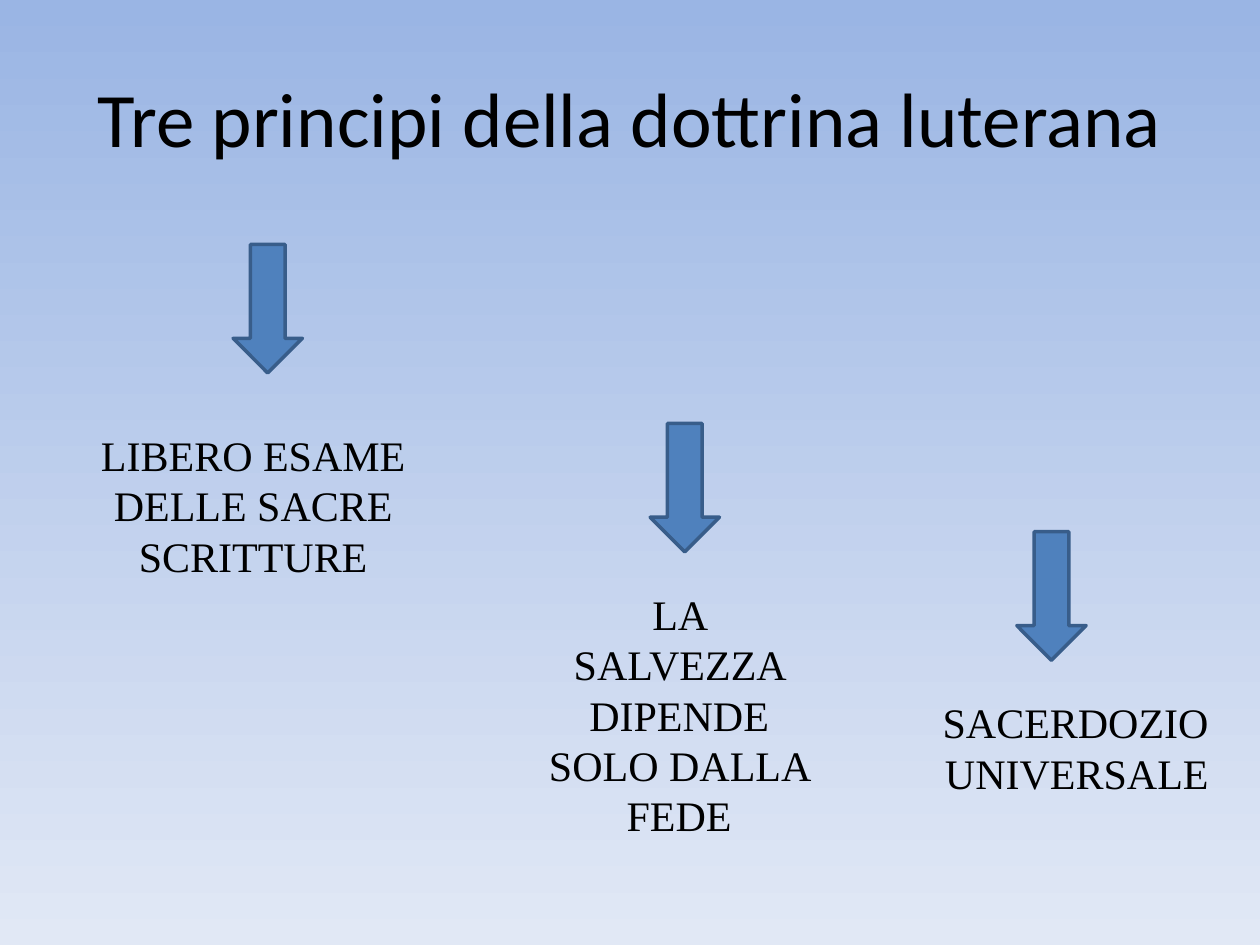
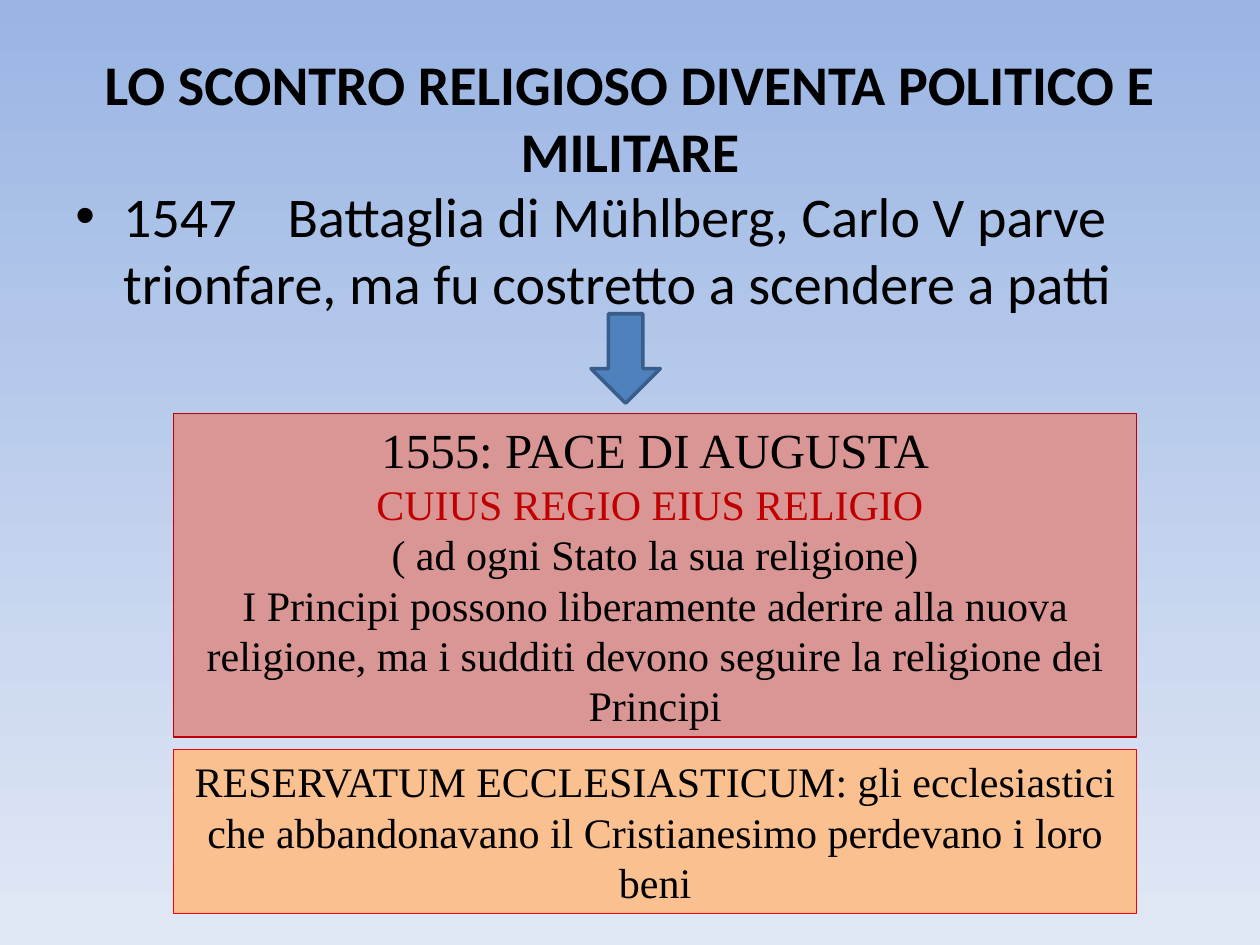
import pptx
import pptx.util
import pptx.dml.color
import pptx.enum.shapes
import pptx.enum.text
import lxml.etree

Inches = pptx.util.Inches
Pt = pptx.util.Pt
RGB = pptx.dml.color.RGBColor
Shape = pptx.enum.shapes.MSO_SHAPE
Align = pptx.enum.text.PP_ALIGN
Anchor = pptx.enum.text.MSO_ANCHOR

SKY = RGB(0x9A, 0xB5, 0xE4)
MIST = RGB(0xE1, 0xE8, 0xF5)
BLACK = RGB(0, 0, 0)
BLUE = RGB(0x4F, 0x81, 0xBD)
NAVY = RGB(0x38, 0x5D, 0x8A)
ROSE = RGB(0xD9, 0x96, 0x94)
WINE = RGB(0xC0, 0, 0)
PEACH = RGB(0xFA, 0xC0, 0x90)
RED = RGB(0xFF, 0, 0)

SANS = "Calibri"
SERIF = "Times New Roman"


def style(font, color=BLACK, **values):
    """Set font attributes and colour."""
    for name, value in values.items():
        setattr(font, name, value)
    font.color.rgb = color


def write(shape, lines, align=Align.CENTER):
    """Fill a shape with serif lines, each (text, size, colour)."""
    frame = shape.text_frame
    frame.word_wrap = True
    frame.vertical_anchor = Anchor.TOP
    for i, (text, size, color) in enumerate(lines):
        par = frame.add_paragraph() if i else frame.paragraphs[0]
        par.alignment = align
        run = par.add_run()
        run.text = text
        style(run.font, color, name=SERIF, size=Pt(size))


def add_slide(deck, text, size, bold=False):
    """Start a slide with its centred title."""
    slide = deck.slides.add_slide(deck.slide_layouts[5])
    title = slide.shapes.title
    place = {"left": 0.5, "top": 0.3, "width": 9, "height": 1.25}
    for name, value in place.items():
        setattr(title, name, Inches(value))
    title.text_frame.text = text
    title.text_frame.vertical_anchor = Anchor.MIDDLE
    par = title.text_frame.paragraphs[0]
    par.alignment = Align.CENTER
    style(par.runs[0].font, name=SANS, size=Pt(size), bold=bold)
    return slide


def add_form(slide, kind, at, fill, edge, weight):
    """Draw a filled, outlined preset shape."""
    form = slide.shapes.add_shape(kind, *map(Inches, at))
    form.shadow.inherit = False
    form.fill.solid()
    form.fill.fore_color.rgb = fill
    form.line.color.rgb = edge
    form.line.width = Pt(weight)
    return form


def add_arrow(slide, left, top, height=1.02):
    add_form(slide, Shape.DOWN_ARROW, (left, top, 0.55, height),
             BLUE, NAVY, 2)


def add_panel(slide, top, height, fill, edge, lines):
    panel = add_form(slide, Shape.RECTANGLE, (1.38, top, 7.64, height),
                     fill, edge, 0.75)
    write(panel, lines)


def add_label(slide, at, texts, align=Align.CENTER):
    box = slide.shapes.add_textbox(*map(Inches, at))
    write(box, [(text, 24, BLACK) for text in texts], align)


def add_event(slide, at, year, text):
    """Add a bulleted event, with a wide space after the year."""
    box = slide.shapes.add_textbox(*map(Inches, at))
    box.text_frame.word_wrap = True
    par = box.text_frame.paragraphs[0]
    props = par._p.get_or_add_pPr()
    props.set("marL", str(Inches(0.38)))
    props.set("indent", str(-Inches(0.38)))
    space = props.makeelement(pptx.oxml.ns.qn("a:buFont"), {"typeface": "Arial"})
    props.append(space)
    lxml.etree.SubElement(props, pptx.oxml.ns.qn("a:buChar"), {"char": "•"})
    for part in (year, " ", text):
        run = par.add_run()
        run.text = part
        style(run.font, name=SANS, size=Pt(32))
        if part == " ":
            run.font._element.set("spc", "2170")


def set_back(deck):
    """Give all slides the same vertical gradient."""
    fill = deck.slide_master.background.fill
    fill.gradient()
    fill.gradient_angle = 270
    for stop, color in zip(fill.gradient_stops, (SKY, MIST)):
        stop.color.rgb = color


def main():
    deck = pptx.Presentation()
    deck.slide_width = Inches(10)
    deck.slide_height = Inches(7.5)
    set_back(deck)

    # Three principles, stepping down to the right
    slide = add_slide(deck, "Tre principi della dottrina luterana", 44)
    for left, top in ((1.85, 1.94), (5.16, 3.36), (8.07, 4.22)):
        add_arrow(slide, left, top)
    add_label(slide, (0.59, 3.36, 2.84, 1.3),
              ["LIBERO ESAME", "DELLE SACRE", "SCRITTURE"])
    add_label(slide, (4.21, 4.62, 2.36, 2.1),
              ["LA SALVEZZA DIPENDE SOLO DALLA FEDE"])
    add_label(slide, (6.97, 5.48, 2.72, 0.9),
              ["SACERDOZIO UNIVERSALE"], Align.RIGHT)

    # From the battle to the peace
    slide = add_slide(
        deck, "LO SCONTRO RELIGIOSO DIVENTA POLITICO E MILITARE", 32, True)
    add_event(slide, (0.5, 1.39, 9, 5.31), "1547",
              "Battaglia di Mühlberg, Carlo V parve trionfare, "
              "ma fu costretto a scendere a patti")
    add_arrow(slide, 4.69, 2.49, 0.71)
    add_panel(slide, 3.28, 2.57, ROSE, WINE, [
        ("1555: PACE DI AUGUSTA", 28, BLACK),
        ("CUIUS REGIO EIUS RELIGIO ", 24, WINE),
        ("( ad ogni Stato la sua religione)", 24, BLACK),
        ("I Principi possono liberamente aderire alla nuova religione, "
         "ma i sudditi devono seguire la religione dei Principi", 24, BLACK),
    ])
    add_panel(slide, 5.95, 1.3, PEACH, RED, [
        ("RESERVATUM ECCLESIASTICUM: gli ecclesiastici che abbandonavano "
         "il Cristianesimo perdevano i loro beni", 24, BLACK),
    ])

    deck.save("out.pptx")


if __name__ == "__main__":
    main()
